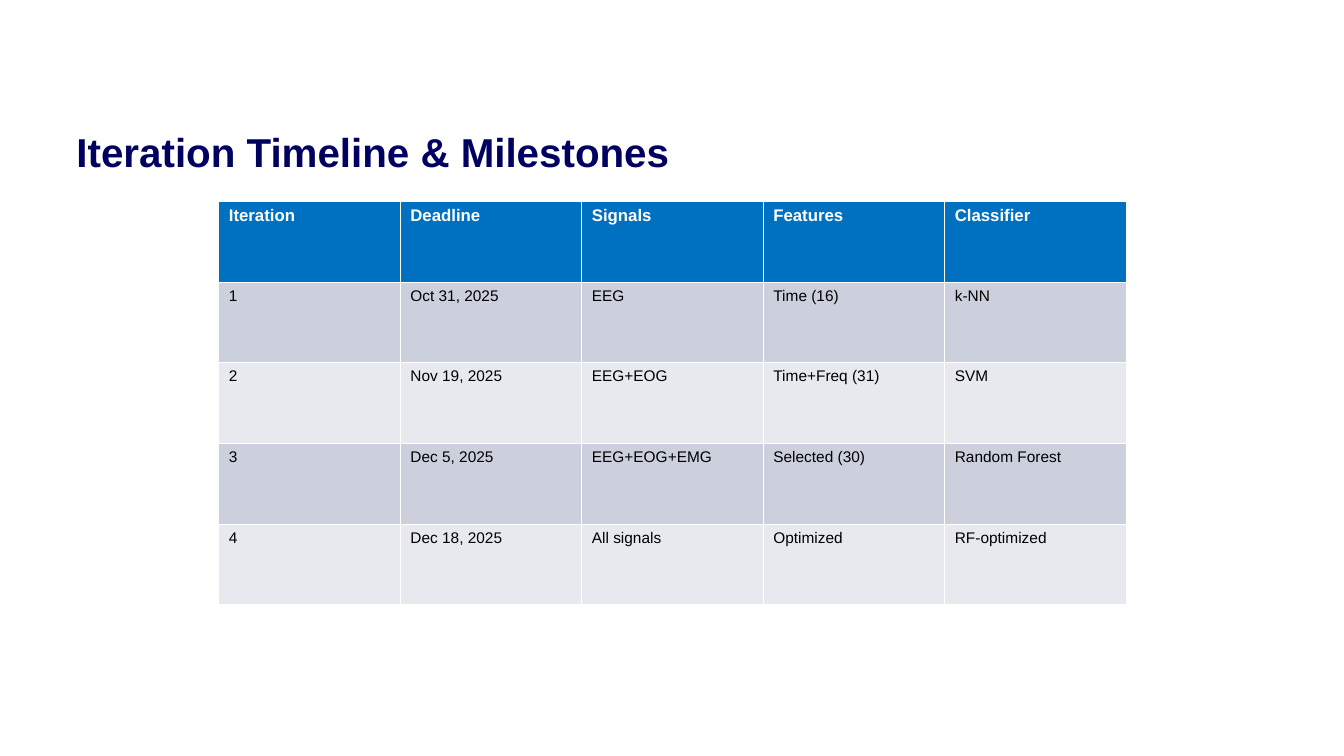
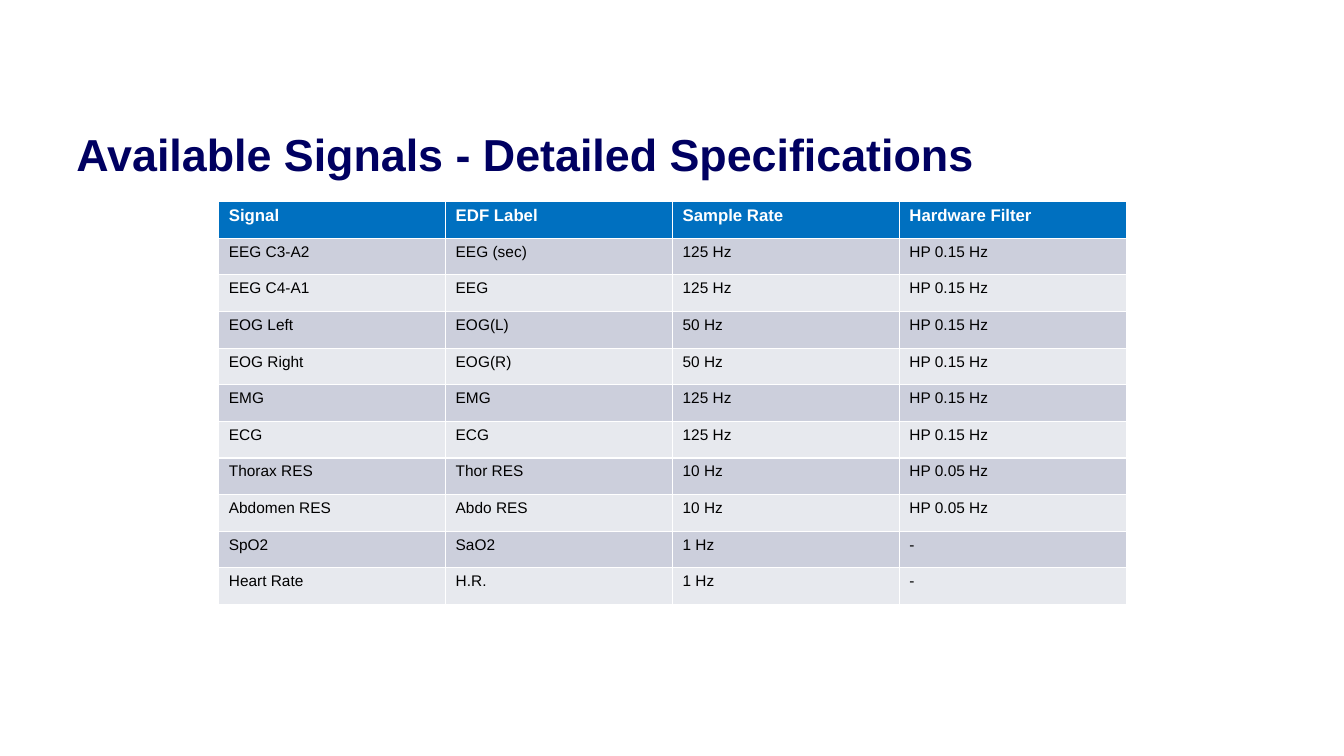
import pptx
import pptx.dml.color
import pptx.enum.text
import pptx.util

Inches = pptx.util.Inches

HEADER_FILL = "0070C0"
BAND_FILLS = ("CCCFDC", "E7E9EE")
TITLE_FORMAT = {"name": "Arial", "bold": True}
HEADER_FORMAT = {"name": "Arial", "size": pptx.util.Pt(12), "bold": True}
BODY_FORMAT = {"name": "Arial", "size": pptx.util.Pt(11), "bold": False}
TITLE_FRAME = {
    "word_wrap": True,
    "vertical_anchor": pptx.enum.text.MSO_ANCHOR.TOP,
    "margin_left": Inches(0.1),
    "margin_top": Inches(0.12),
    "margin_right": Inches(0.1),
    "margin_bottom": Inches(0.05),
}

MILESTONES = [
    ("Iteration", "Deadline", "Signals", "Features", "Classifier"),
    ("1", "Oct 31, 2025", "EEG", "Time (16)", "k-NN"),
    ("2", "Nov 19, 2025", "EEG+EOG", "Time+Freq (31)", "SVM"),
    ("3", "Dec 5, 2025", "EEG+EOG+EMG", "Selected (30)", "Random Forest"),
    ("4", "Dec 18, 2025", "All signals", "Optimized", "RF-optimized"),
]

SIGNALS = [
    ("Signal", "EDF Label", "Sample Rate", "Hardware Filter"),
    ("EEG C3-A2", "EEG (sec)", "125 Hz", "HP 0.15 Hz"),
    ("EEG C4-A1", "EEG", "125 Hz", "HP 0.15 Hz"),
    ("EOG Left", "EOG(L)", "50 Hz", "HP 0.15 Hz"),
    ("EOG Right", "EOG(R)", "50 Hz", "HP 0.15 Hz"),
    ("EMG", "EMG", "125 Hz", "HP 0.15 Hz"),
    ("ECG", "ECG", "125 Hz", "HP 0.15 Hz"),
    ("Thorax RES", "Thor RES", "10 Hz", "HP 0.05 Hz"),
    ("Abdomen RES", "Abdo RES", "10 Hz", "HP 0.05 Hz"),
    ("SpO2", "SaO2", "1 Hz", "-"),
    ("Heart Rate", "H.R.", "1 Hz", "-"),
]


def set_color(color_format, hex_color):
    color_format.rgb = pptx.dml.color.RGBColor.from_string(hex_color)


def set_attributes(target, values):
    for name, value in values.items():
        setattr(target, name, value)


def write_text(paragraph, text, font_values, hex_color):
    run = paragraph.add_run()
    run.text = text
    set_attributes(run.font, font_values)
    set_color(run.font.color, hex_color)


def add_title(slide, text, size):
    title = slide.shapes.add_textbox(
        Inches(0.66), Inches(1.2), Inches(12.02), Inches(0.62)
    ).text_frame
    set_attributes(title, TITLE_FRAME)
    heading = title.paragraphs[0]
    heading.line_spacing = 0.9
    write_text(heading, text, {**TITLE_FORMAT, "size": pptx.util.Pt(size)}, "000061")


def fill_cell(cell, text, row_index):
    is_header = row_index == 0
    cell.fill.solid()
    set_color(
        cell.fill.fore_color,
        HEADER_FILL if is_header else BAND_FILLS[(row_index - 1) % 2],
    )
    write_text(
        cell.text_frame.paragraphs[0],
        text,
        HEADER_FORMAT if is_header else BODY_FORMAT,
        "FFFFFF" if is_header else "000000",
    )


def add_data_table(slide, rows):
    table = slide.shapes.add_table(
        len(rows), len(rows[0]), Inches(2.17), Inches(2), Inches(9), Inches(4)
    ).table
    for row_index, row in enumerate(rows):
        for column_index, text in enumerate(row):
            fill_cell(table.cell(row_index, column_index), text, row_index)


def add_table_slide(presentation, title, title_size, rows):
    slide = presentation.slides.add_slide(presentation.slide_layouts[6])
    add_title(slide, title, title_size)
    add_data_table(slide, rows)


def main():
    presentation = pptx.Presentation()
    presentation.slide_width = Inches(13.33)
    presentation.slide_height = Inches(7.5)
    add_table_slide(presentation, "Iteration Timeline & Milestones", 28.8, MILESTONES)
    add_table_slide(
        presentation, "Available Signals - Detailed Specifications", 32, SIGNALS
    )
    presentation.save("out.pptx")


if __name__ == "__main__":
    main()
